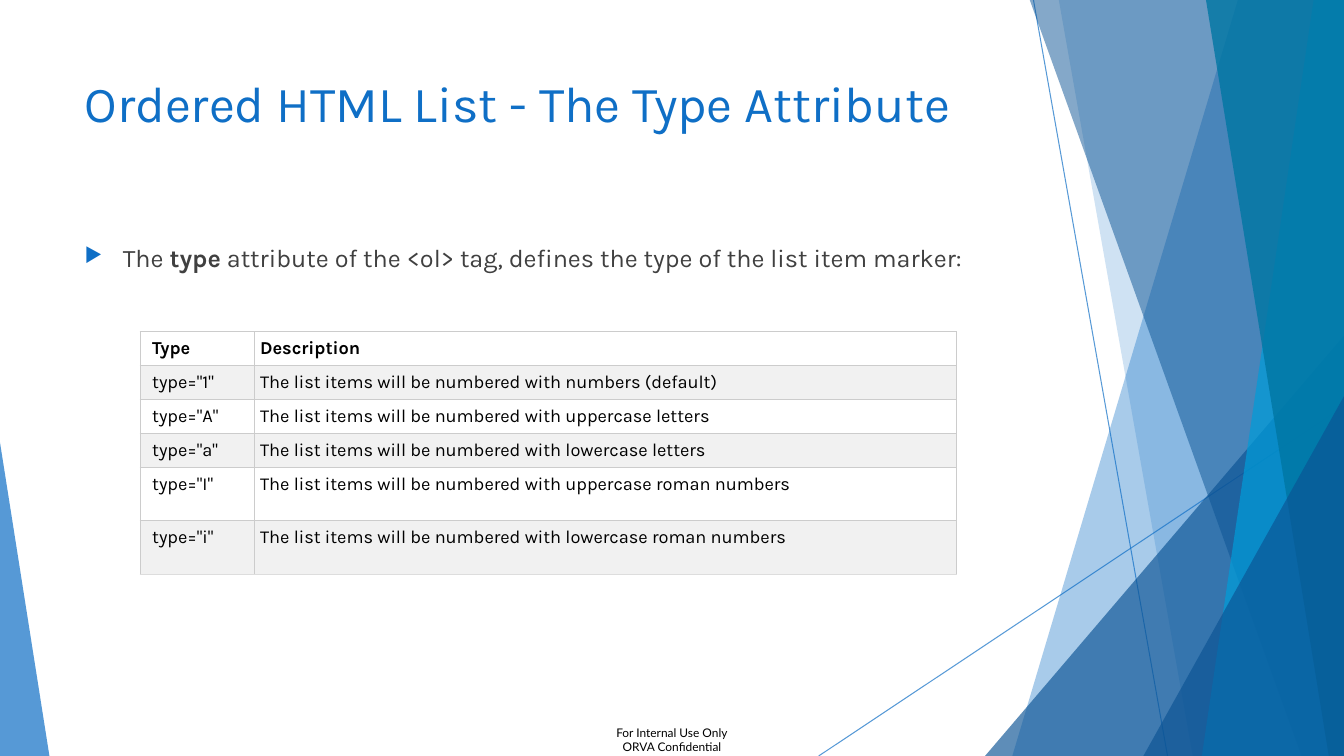
import dataclasses

import pptx
import pptx.dml.color
import pptx.enum.shapes
import pptx.enum.text
import pptx.oxml
import pptx.oxml.ns
import pptx.util

Inches = pptx.util.Inches
Pt = pptx.util.Pt
RGB = pptx.dml.color.RGBColor.from_string
qn = pptx.oxml.ns.qn
SHAPES = pptx.enum.shapes.MSO_SHAPE
ALIGN = pptx.enum.text.PP_ALIGN


@dataclasses.dataclass(frozen=True)
class Theme:
    blue: str = "0F6FC6"
    navy: str = "0B5394"
    sky: str = "009DD9"
    teal: str = "0076A3"
    body_text: str = "404040"
    black: str = "000000"
    white: str = "FFFFFF"
    band: str = "F1F1F1"
    border: str = "CCCCCC"
    last_border: str = "DDDDDD"
    font: str = "Karla"
    footer_font: str = "Lato"
    title_size: float = 36
    body_size: float = 18
    table_size: float = 13
    footer_size: float = 8.5


theme = Theme()
WIDTH, HEIGHT = 13.33, 7.5

deck = pptx.Presentation()
deck.slide_width, deck.slide_height = Inches(WIDTH), Inches(HEIGHT)
page = deck.slides.add_slide(deck.slide_layouts[6])


def fade(shape, opacity):
    """Make every colour of a shape show at the given percentage."""
    for color in shape._element.spPr.iter(qn("a:srgbClr")):
        alpha = color.makeelement(qn("a:alpha"), {"val": str(opacity * 1000)})
        color.append(alpha)


def add_span(para, text, font, size, color, bold=False):
    span = para.add_run()
    span.text = text
    span.font.name, span.font.size, span.font.bold = font, Pt(size), bold
    span.font.color.rgb = RGB(color)


# Thin crossing lines
for x1, y1, x2, y2 in [(10.25, 0, 11.58, HEIGHT), (WIDTH, 4.03, 8.12, HEIGHT)]:
    line = page.shapes.add_connector(
        pptx.enum.shapes.MSO_CONNECTOR.STRAIGHT,
        Inches(x1), Inches(y1), Inches(x2), Inches(y2))
    line.line.color.rgb = RGB(theme.blue)
    line.line.width = Pt(0.75)
    fade(line, 70)
    line._element.spPr.append(
        line._element.makeelement(qn("a:effectLst"), {}))

# Glass facets, back to front: a panel is (top x, bottom x) and reaches the
# right edge; a triangle is (left, top, width, apex) and stands on the bottom
facets = [
    ("panel", (12.28, 10.04), theme.blue, 36),
    ("panel", (10.5, 11.83), theme.blue, 20),
    ("triangle", (9.77, 3.33, 3.56, 1), theme.navy, 66),
    ("panel", (10.21, 12.91), theme.navy, 50),
    ("panel", (13.03, 11.92), theme.sky, 70),
    ("panel", (11.96, 13.18), theme.teal, 80),
    ("triangle", (11.34, 3.93, 1.99, 1), theme.navy, 66),
    ("triangle", (0, 4.39, 0.49, 0), theme.blue, 70),
]
for kind, geometry, color, opacity in facets:
    if kind == "panel":
        top_x, bottom_x = geometry
        outline = page.shapes.build_freeform(Inches(top_x), Inches(-0.01))
        corners = [(WIDTH, -0.01), (WIDTH, HEIGHT), (bottom_x, HEIGHT)]
        outline.add_line_segments([(Inches(x), Inches(y)) for x, y in corners])
        facet = outline.convert_to_shape()
    else:
        left, top, width, apex = geometry
        facet = page.shapes.add_shape(
            SHAPES.ISOSCELES_TRIANGLE, Inches(left), Inches(top),
            Inches(width), Inches(HEIGHT - top))
        facet.adjustments[0] = apex
    facet.shadow.inherit = False
    facet.fill.solid()
    facet.fill.fore_color.rgb = RGB(color)
    facet.line.fill.background()
    fade(facet, opacity)

# Footer, title and body text
texts = [
    ((0, 7.15, WIDTH, 0.39), ALIGN.CENTER, theme.footer_font,
     theme.footer_size, theme.black,
     [[("For Internal Use Only", False)], [("ORVA Confidential", False)]]),
    ((0.74, 0.67, 9.4, 1.44), ALIGN.LEFT, theme.font,
     theme.title_size, theme.blue,
     [[("Ordered HTML List - The Type Attribute", False)]]),
    ((0.74, 2.36, 9.4, 4.24), ALIGN.LEFT, theme.font,
     theme.body_size, theme.body_text,
     [[("The ", False), ("type", True),
       (" attribute of the <ol> tag, defines the type of the list item marker:",
        False)]]),
]
for place, align, font, size, color, lines in texts:
    box = page.shapes.add_textbox(*[Inches(length) for length in place])
    frame = box.text_frame
    frame.word_wrap = True
    for index, spans in enumerate(lines):
        para = frame.add_paragraph() if index else frame.paragraphs[0]
        para.alignment = align
        for text, bold in spans:
            add_span(para, text, font, size, color, bold)

# Bullet of the body, the last paragraph written
para.space_before = Pt(10)
bullet = para._p.get_or_add_pPr()
bullet.set("marL", str(Inches(0.38)))
bullet.set("indent", str(Inches(-0.38)))
namespace = pptx.oxml.ns.nsdecls("a")
for part in [
    f'<a:buClr {namespace}><a:srgbClr val="{theme.blue}"/></a:buClr>',
    f'<a:buSzPct {namespace} val="80000"/>',
    f'<a:buChar {namespace} char="▶"/>',
]:
    bullet.append(pptx.oxml.parse_xml(part))

# Table of type values
rows = [
    ("Type", "Description"),
    ('type="1"', "The list items will be numbered with numbers (default)"),
    ('type="A"', "The list items will be numbered with uppercase letters"),
    ('type="a"', "The list items will be numbered with lowercase letters"),
    ('type="I"', "The list items will be numbered with uppercase roman numbers"),
    ('type="i"', "The list items will be numbered with lowercase roman numbers"),
]
column_widths = [1.13, 6.97]
row_heights = [0.32] * 4 + [0.53] * 2
table = page.shapes.add_table(
    len(rows), len(column_widths), Inches(1.39), Inches(3.29),
    Inches(sum(column_widths)), Inches(sum(row_heights))).table
table.first_row = table.horz_banding = False
for column, width in zip(table.columns, column_widths):
    column.width = Inches(width)
for r, (values, height) in enumerate(zip(rows, row_heights)):
    table.rows[r].height = Inches(height)
    for c, value in enumerate(values):
        cell = table.cell(r, c)
        cell.margin_left = Inches(0.06 if c else 0.12)
        cell.margin_right = cell.margin_top = cell.margin_bottom = Inches(0.06)
        add_span(cell.text_frame.paragraphs[0], value, theme.font,
                 theme.table_size, theme.black, bold=r == 0)
        for side in "LRTB":
            at_end = side == "B" and r == len(rows) - 1
            color = theme.last_border if at_end else theme.border
            cell._tc.get_or_add_tcPr().append(pptx.oxml.parse_xml(
                f'<a:ln{side} {namespace} w="{Pt(0.75)}"><a:solidFill>'
                f'<a:srgbClr val="{color}"/></a:solidFill></a:ln{side}>'))
        cell.fill.solid()
        cell.fill.fore_color.rgb = RGB(theme.band if r % 2 else theme.white)

deck.save("out.pptx")
